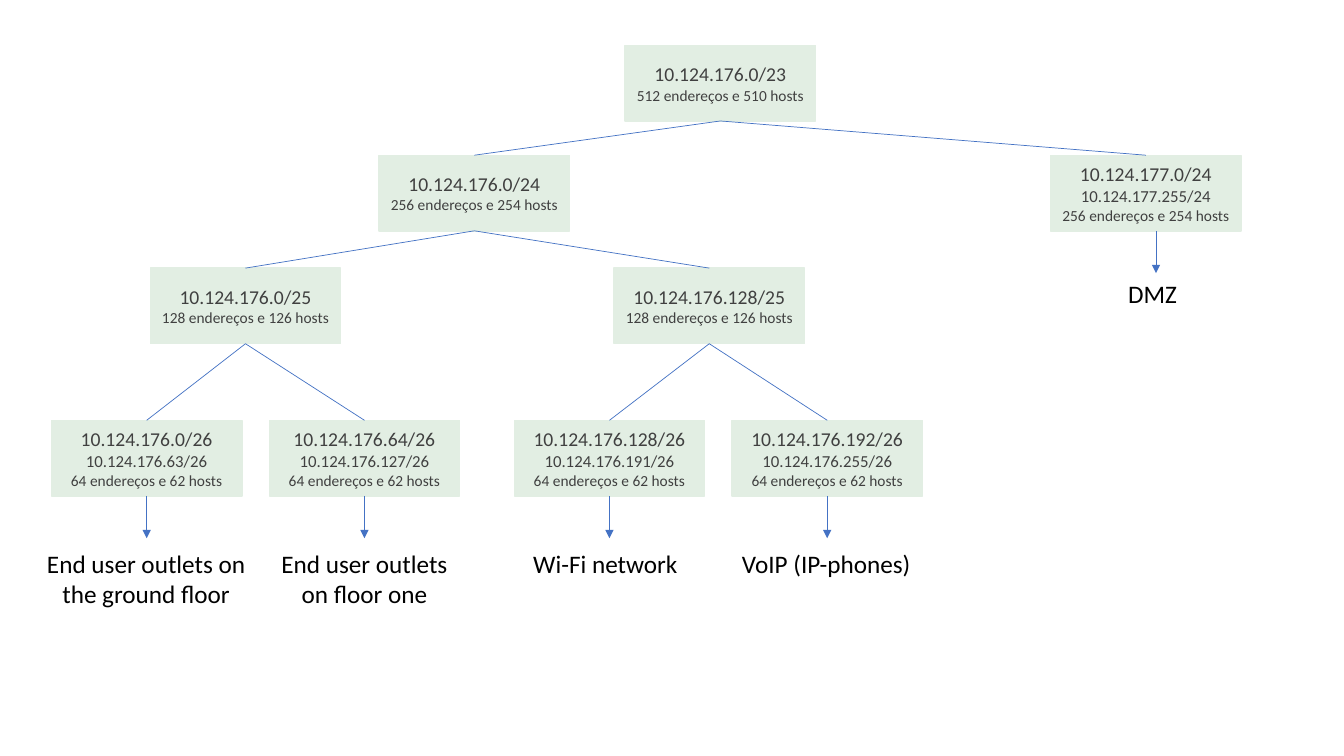
from lxml import etree
from pptx import Presentation
from pptx.dml.color import RGBColor
from pptx.enum.shapes import MSO_CONNECTOR, MSO_SHAPE
from pptx.enum.text import MSO_ANCHOR, PP_ALIGN
from pptx.oxml.ns import qn
from pptx.util import Inches, Pt

COLORS = {"box": "E2EEE3", "box_text": "404040", "line": "4472C4", "label": "000000"}
FONT = "Calibri"
BOX_W, BOX_H = 1.89, 0.75
ARROW_LEN = 0.42
TOP, BOTTOM = 0, 2  # connection sites of a rectangle

# Network: (parent, left, top, lines of text)
SUBNETS = {
    "/23": (None, 6.2, 0.45, ["10.124.176.0/23", "512 endereços e 510 hosts"]),
    "/24 users": ("/23", 3.76, 1.54, ["10.124.176.0/24", "256 endereços e 254 hosts"]),
    "/24 dmz": ("/23", 10.42, 1.54,
                ["10.124.177.0/24", "10.124.177.255/24", "256 endereços e 254 hosts"]),
    "/25 outlets": ("/24 users", 1.49, 2.66, ["10.124.176.0/25", "128 endereços e 126 hosts"]),
    "/25 wireless": ("/24 users", 6.09, 2.66, ["10.124.176.128/25", "128 endereços e 126 hosts"]),
    "/26 ground": ("/25 outlets", 0.51, 4.17,
                   ["10.124.176.0/26", "10.124.176.63/26", "64 endereços e 62 hosts"]),
    "/26 first": ("/25 outlets", 2.67, 4.17,
                  ["10.124.176.64/26", "10.124.176.127/26", "64 endereços e 62 hosts"]),
    "/26 wifi": ("/25 wireless", 5.1, 4.17,
                 ["10.124.176.128/26", "10.124.176.191/26", "64 endereços e 62 hosts"]),
    "/26 voip": ("/25 wireless", 7.26, 4.17,
                 ["10.124.176.192/26", "10.124.176.255/26", "64 endereços e 62 hosts"]),
}

# Use of each leaf: (subnet, text, left, top, width, height, alignment, arrow shift)
USES = [
    ("/26 ground", "End user outlets on the ground floor", 0.35, 5.39, 2.2, 0.71, PP_ALIGN.CENTER, 0),
    ("/26 first", "End user outlets on floor one", 2.61, 5.39, 2.01, 0.71, PP_ALIGN.CENTER, 0),
    ("/26 wifi", "Wi-Fi network", 5.19, 5.39, 1.7, 0.4, PP_ALIGN.LEFT, 0),
    ("/26 voip", "VoIP (IP-phones)", 7.26, 5.39, 1.89, 0.4, PP_ALIGN.LEFT, 0),
    ("/24 dmz", "DMZ", 11.09, 2.71, 0.74, 0.4, PP_ALIGN.LEFT, 0.1),
]


def rgb(name):
    return RGBColor.from_string(COLORS[name])


def format_paragraph(p, size, color, align):
    p.alignment = align
    for r in p.runs:
        r.font.name = FONT
        r.font.size = Pt(size)
        r.font.color.rgb = rgb(color)


def add_subnet(s, left, top, lines):
    sp = s.shapes.add_shape(MSO_SHAPE.RECTANGLE, Inches(left), Inches(top),
                            Inches(BOX_W), Inches(BOX_H))
    sp.shadow.inherit = False
    sp.fill.solid()
    sp.fill.fore_color.rgb = rgb("box")
    sp.line.color.rgb = rgb("box")
    sp.line.width = Pt(1)
    tf = sp.text_frame
    tf.word_wrap = True
    tf.margin_left = tf.margin_right = Inches(0.05)
    tf.vertical_anchor = MSO_ANCHOR.MIDDLE
    tf.text = "\n".join(lines)
    sizes = [14, 11] if len(lines) == 2 else [14, 12, 11]
    for p, size in zip(tf.paragraphs, sizes):
        format_paragraph(p, size, "box_text", PP_ALIGN.CENTER)
    return sp


def add_line(s, x1, y1, x2, y2, arrow=False):
    line = s.shapes.add_connector(MSO_CONNECTOR.STRAIGHT, x1, y1, x2, y2)
    line.line.color.rgb = rgb("line")
    line.line.width = Pt(0.5)
    if arrow:
        etree.SubElement(line.line._get_or_add_ln(), qn("a:tailEnd"), type="triangle")
    etree.SubElement(line._element.spPr, qn("a:effectLst"))
    return line


def add_branch(s, parent, child):
    line = add_line(s, 0, 0, 0, 0)
    line.begin_connect(parent, BOTTOM)
    line.end_connect(child, TOP)


def add_use(s, subnet, text, left, top, width, height, align, shift):
    # Arrow from the subnet down to its label
    x = subnet.left + subnet.width // 2 + Inches(shift)
    y = subnet.top + subnet.height
    arrow = add_line(s, x, y, x, y + Inches(ARROW_LEN), arrow=True)
    if not shift:
        arrow.begin_connect(subnet, BOTTOM)
    # Label
    tb = s.shapes.add_textbox(Inches(left), Inches(top), Inches(width), Inches(height))
    tf = tb.text_frame
    tf.word_wrap = True
    tf.text = text
    format_paragraph(tf.paragraphs[0], 18, "label", align)


def add_subnet_tree(s):
    boxes = {}
    for name, (parent, left, top, lines) in SUBNETS.items():
        boxes[name] = add_subnet(s, left, top, lines)
        if parent:
            add_branch(s, boxes[parent], boxes[name])
    for name, *label in USES:
        add_use(s, boxes[name], *label)


def main():
    prs = Presentation()
    prs.slide_width, prs.slide_height = Inches(13.33), Inches(7.5)
    s = prs.slides.add_slide(prs.slide_layouts[6])
    add_subnet_tree(s)
    prs.save("out.pptx")


if __name__ == "__main__":
    main()
